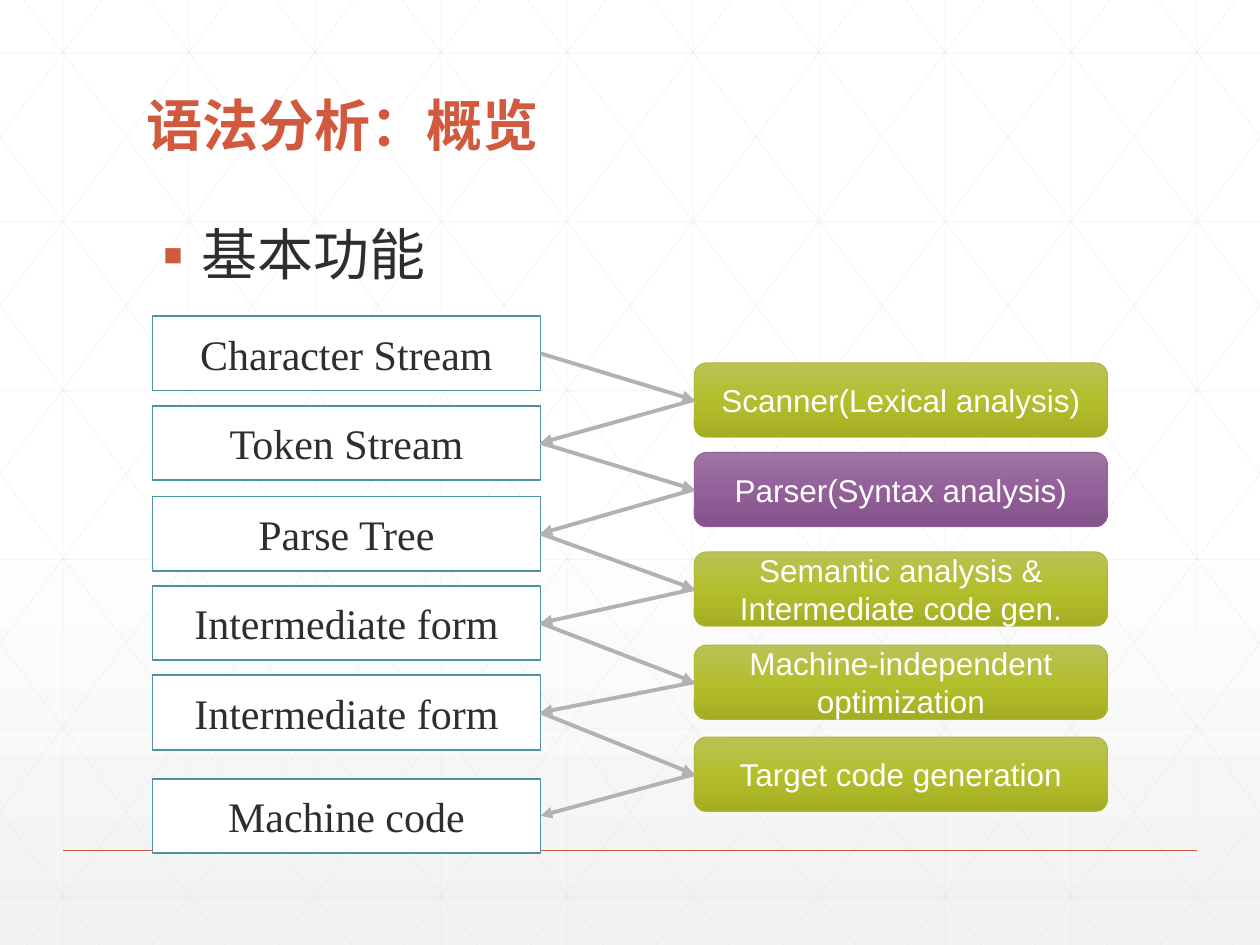
import pptx
import pptx.dml.color
import pptx.enum.shapes
import pptx.enum.text
import pptx.oxml
import pptx.oxml.ns
import pptx.util
from lxml import etree
from pptx.util import Inches

# Content
TITLE = "语法分析：概览"
HEADING = "基本功能"
STAGES = [  # text, top
    ("Character Stream", 2.51),
    ("Token Stream", 3.22),
    ("Parse Tree", 3.94),
    ("Intermediate form", 4.65),
    ("Intermediate form", 5.36),
    ("Machine code", 6.18),
]
GREEN = {"stops": [(0, "B9C256"), (50, "B4BE2C"), (100, "A5AE22")], "line": "AEB733"}
PURPLE = {"stops": [(0, "9F76A3"), (50, "94609A"), (100, "85538B")], "line": "926397"}
PHASES = [  # text, top, colours
    ("Scanner(Lexical analysis)", 2.88, GREEN),
    ("Parser(Syntax analysis)", 3.59, PURPLE),
    ("Semantic analysis &\vIntermediate code gen.", 4.38, GREEN),
    ("Machine-independent\noptimization", 5.12, GREEN),
    ("Target code generation", 5.85, GREEN),
]

# Formats
CJK = "Noto Sans CJK SC"
ACCENT, INK = "D15A3E", "2D2E2D"
TITLE_FONT = {"name": CJK, "size": 32, "color": ACCENT, "bold": True}
HEADING_FONT = {"name": CJK, "size": 32, "color": INK}
STAGE_FONT = {"name": "Times New Roman", "size": 24, "color": INK}
PHASE_FONT = {"name": "Arial", "size": 18, "color": "FFFFFF"}
BACKGROUND = [(0, "FFFFFF"), (53, "FFFFFF"), (100, "F2F2F2")]
WIDTH, HEIGHT = 10, 7.5
BOX_HEIGHT = 0.59

ALIGN = pptx.enum.text.PP_ALIGN
ANCHOR = pptx.enum.text.MSO_ANCHOR
SHAPE = pptx.enum.shapes.MSO_SHAPE
qn = pptx.oxml.ns.qn


def rgb(value):
    return pptx.dml.color.RGBColor.from_string(value)


def set_gradient(fill, owner, stops):
    """Vertical gradient with any number of (percent, colour) stops."""
    fill.gradient()
    fill.gradient_angle = 270
    stop_list = next(owner.iter(qn("a:gsLst")))
    for old in list(stop_list):
        stop_list.remove(old)
    for percent, color in stops:
        stop = etree.SubElement(stop_list, qn("a:gs"), pos=str(percent * 1000))
        etree.SubElement(stop, qn("a:srgbClr"), val=color)


def format_text(frame, text, font, alignment, anchor):
    frame.word_wrap = True
    frame.vertical_anchor = anchor
    frame.text = text
    for paragraph in frame.paragraphs:
        paragraph.alignment = alignment
        for run in paragraph.runs:
            values = dict(font, size=pptx.util.Pt(font["size"]))
            run.font.color.rgb = rgb(values.pop("color"))
            for name, value in values.items():
                setattr(run.font, name, value)
            if font["name"] == CJK:
                etree.SubElement(run.font._element, qn("a:ea"), typeface=CJK)


def add_line(start, end, color, width, opacity=None, arrow=False):
    points = [Inches(value) for value in (*start, *end)]
    line = slide.shapes.add_connector(pptx.enum.shapes.MSO_CONNECTOR.STRAIGHT, *points)
    line.line.color.rgb = rgb(color)
    line.line.width = pptx.util.Pt(width)
    properties = line._element.spPr
    if opacity:
        color_element = next(properties.iter(qn("a:srgbClr")))
        etree.SubElement(color_element, qn("a:alpha"), val=str(opacity * 1000))
    if arrow:
        etree.SubElement(line.line._get_or_add_ln(), qn("a:tailEnd"), type="triangle")
    etree.SubElement(properties, qn("a:effectLst"))
    return line


def add_box(kind, left, top, width, text, font, line_color, line_width):
    box = slide.shapes.add_shape(
        kind, Inches(left), Inches(top), Inches(width), Inches(BOX_HEIGHT))
    box.shadow.inherit = False
    box.line.color.rgb = rgb(line_color)
    box.line.width = pptx.util.Pt(line_width)
    format_text(box.text_frame, text, font, ALIGN.CENTER, ANCHOR.MIDDLE)
    return box


def add_grid():
    grid = {"color": "D9D9D9", "width": 0.5, "opacity": 25}
    for column in range(10):
        add_line((column + 0.5, 0), (column + 0.5, HEIGHT), **grid)
    for row in range(6):
        y = 0.42 + 1.34 * row
        add_line((0, y), (WIDTH, y), **grid)
    # Diagonals run 5.6 across over the full height, cut at the slide edges
    slope = HEIGHT / 5.6
    for step in range(-5, 10):
        x = 0.19 + step
        left, right = max(x, 0), min(x + 5.6, WIDTH)
        top, bottom = (left - x) * slope, (right - x) * slope
        add_line((left, top), (right, bottom), **grid)
        add_line((WIDTH - left, top), (WIDTH - right, bottom), **grid)


presentation = pptx.Presentation()
presentation.slide_width, presentation.slide_height = Inches(WIDTH), Inches(HEIGHT)
slide = presentation.slides.add_slide(presentation.slide_layouts[5])

# Background, grid and footer rule
set_gradient(slide.background.fill, slide._element, BACKGROUND)
add_grid()
add_line((0.5, 6.75), (9.5, 6.75), ACCENT, 1)

# Title, brought in front of the grid
title = slide.shapes.title
title.left, title.top = Inches(1.06), Inches(0.55)
title.width, title.height = Inches(7.88), Inches(0.76)
format_text(title.text_frame, TITLE, TITLE_FONT, ALIGN.LEFT, ANCHOR.BOTTOM)
title.text_frame.paragraphs[0].line_spacing = 0.9
slide.shapes._spTree.append(title._element)

# Bulleted heading
heading = slide.shapes.add_textbox(Inches(1.06), Inches(1.75), Inches(7.88), Inches(0.7))
format_text(heading.text_frame, HEADING, HEADING_FONT, ALIGN.LEFT, ANCHOR.TOP)
paragraph = heading.text_frame.paragraphs[0]
paragraph.line_spacing = 0.9
properties = paragraph._element.get_or_add_pPr()
properties.set("marL", str(Inches(0.25)))
properties.set("indent", str(-Inches(0.25)))
bullet_color = etree.SubElement(properties, qn("a:buClr"))
etree.SubElement(bullet_color, qn("a:srgbClr"), val=ACCENT)
etree.SubElement(properties, qn("a:buFont"), typeface=CJK)
etree.SubElement(properties, qn("a:buChar"), char="▪")

# Data forms on the left, compiler phases on the right
stages = []
for text, top in STAGES:
    stage = add_box(SHAPE.RECTANGLE, 1.21, top, 3.08, text, STAGE_FONT, "4F91A1", 1)
    stage.fill.solid()
    stage.fill.fore_color.rgb = rgb("FFFFFF")
    stages.append(stage)
phases = []
for text, top, colors in PHASES:
    phase = add_box(SHAPE.ROUNDED_RECTANGLE, 5.51, top, 3.28, text, PHASE_FONT,
                    colors["line"], 0.5)
    set_gradient(phase.fill, phase._element, colors["stops"])
    phases.append(phase)

# Each phase reads one form and produces the next
RIGHT_SIDE, LEFT_SIDE = 3, 1
for phase, source, result in zip(phases, stages, stages[1:]):
    for begin, begin_side, end, end_side in (
            (source, RIGHT_SIDE, phase, LEFT_SIDE), (phase, LEFT_SIDE, result, RIGHT_SIDE)):
        arrow = add_line((0, 0), (1, 1), "B2B2B2", 2.25, arrow=True)
        arrow.begin_connect(begin, begin_side)
        arrow.end_connect(end, end_side)

presentation.save("out.pptx")
